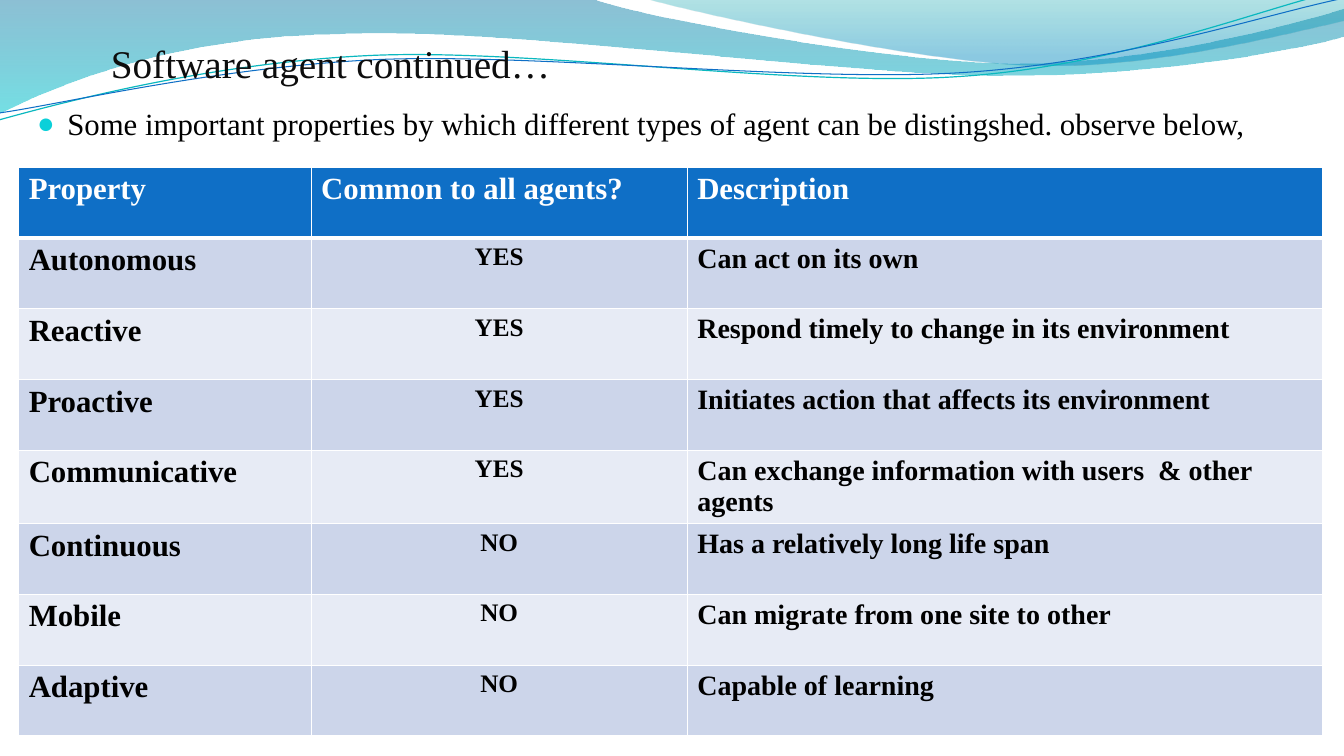
import math

from lxml import etree
from pptx import Presentation
from pptx.dml.color import RGBColor
from pptx.enum.text import MSO_ANCHOR, PP_ALIGN
from pptx.oxml import parse_xml
from pptx.oxml.ns import nsdecls, qn
from pptx.util import Inches, Pt

BOTTOM, TOP = MSO_ANCHOR.BOTTOM, MSO_ANCHOR.TOP
LEFT, CENTER = PP_ALIGN.LEFT, PP_ALIGN.CENTER
FONT = "Times New Roman"
COLS, ROWS = 1333, 750
UNIT = Inches(13.33) / COLS
TILT = 357.3
C = {"blue": "0F6FC6", "teal": "0AB8BF", "bullet": "0BD0D9", "title": "0D0D0D",
     "text": "000000", "white": "FFFFFF", "band1": "CCD5EA", "band2": "E7EBF5",
     "deep": "0074A1", "cyan": "00C6CF", "sea": "00A1A9", "sky": "008BBF"}

BANDS = [
    ([(0, 0), (587, -1),
      (634, 17, 885, 63, 1011, 63), (1138, 63, 1278, 26, 1333, 9), (1335, 36),
      (1311, 44, 1160, 76, 994, 75), (829, 75, 509, 28, 343, 34),
      (172, 36, 61, 83, -1, 113)],
     [(0, "deep", 45), (100, "cyan", 55)]),
    ([(639, -1), (679, 11, 909, 62, 1025, 65), (1141, 69, 1282, 32, 1333, 21),
      (1333, 0)],
     [(0, "sea", 30), (80, "sky", 45)]),
]
STRANDS = [
    ([(-1, 119), (64, 101, 211, 62, 369, 55), (527, 48, 790, 87, 950, 76),
      (1110, 66, 1252, 8, 1331, -10)], (665, 57.5), "teal", 0.85),
    ([(0, 112), (63, 103, 218, 66, 378, 59), (537, 53, 796, 82, 955, 72),
      (1115, 62, 1255, 14, 1334, -2)], (667, 59), "blue", 0.75),
]
HEADER = ("Property", "Common to all agents?", "Description")
PROPERTIES = [
    ("Autonomous", "YES", "Can act on its own"),
    ("Reactive", "YES", "Respond timely to change in its environment"),
    ("Proactive", "YES", "Initiates action that affects its environment"),
    ("Communicative", "YES", "Can exchange information with users  & other  agents"),
    ("Continuous", "NO", "Has a relatively long life span"),
    ("Mobile", "NO", "Can migrate from one site to other"),
    ("Adaptive", "NO", "Capable of learning"),
]


def units(*values):
    """Turn grid units into whole EMU."""
    return [round(v * UNIT) for v in values]


def rgb(name):
    """Look up a palette colour."""
    return RGBColor.from_string(C[name])


def turn(point, pivot, degrees):
    """Rotate a point clockwise about a pivot."""
    a = math.radians(degrees)
    dx, dy = point[0] - pivot[0], point[1] - pivot[1]
    return (pivot[0] + dx * math.cos(a) - dy * math.sin(a),
            pivot[1] + dx * math.sin(a) + dy * math.cos(a))


def add_outline(s, box, path, close, pivot=(0, 0), rotation=0):
    """Draw a path of lines and cubic curves relative to the box corner."""
    points = [units(box[0] + x, box[1] + y) for x, y in
              (turn(part[k:k + 2], pivot, -rotation)
               for part in path for k in range(0, len(part), 2))]
    builder = s.shapes.build_freeform(*points[0], scale=1.0)
    builder.add_line_segments(points[1:], close=close)
    sp = builder.convert_to_shape()
    segments = iter(list(sp._element.iter(qn("a:lnTo"))))
    for part in path[1:]:
        group = [next(segments) for _ in range(len(part) // 2)]
        if len(group) == 3:
            curve = etree.Element(qn("a:cubicBezTo"))
            group[0].addprevious(curve)
            for line in group:
                curve.append(line[0])
                line.getparent().remove(line)
    sp.rotation = rotation
    sp.shadow.inherit = False
    return sp


def add_waves(s, box):
    """Draw the gradient bands and thin strands of the header."""
    for path, stops in BANDS:
        sp = add_outline(s, box, path, True)
        sp.line.fill.background()
        gs = "".join(f'<a:gs pos="{pos * 1000}"><a:srgbClr val="{C[name]}">'
                     f'<a:alpha val="{alpha * 1000}"/></a:srgbClr></a:gs>'
                     for pos, name, alpha in stops)
        sp._element.spPr.find(qn("a:custGeom")).addnext(parse_xml(
            f'<a:gradFill {nsdecls("a")}><a:gsLst>{gs}</a:gsLst>'
            '<a:lin ang="5400000" scaled="0"/></a:gradFill>'))
    for path, pivot, name, width in STRANDS:
        sp = add_outline(s, box, path, False, pivot, TILT)
        sp.fill.background()
        sp.line.color.rgb = rgb(name)
        sp.line.width = Pt(width)


def write(p, text, size, color, bold=False, align=LEFT):
    """Fill a paragraph with one formatted run."""
    p.alignment = align
    r = p.add_run()
    r.text = text
    for key, value in {"name": FONT, "size": Pt(size), "bold": bold}.items():
        setattr(r.font, key, value)
    r.font.color.rgb = rgb(color)


def add_text(s, box, text, size, color, anchor, insets):
    """Place a wrapped text box and return its paragraph."""
    tf = s.shapes.add_textbox(*units(*box)).text_frame
    margins = zip(("margin_left", "margin_top", "margin_right", "margin_bottom"),
                  units(*insets))
    for key, value in {"word_wrap": True, "vertical_anchor": anchor, **dict(margins)}.items():
        setattr(tf, key, value)
    write(tf.paragraphs[0], text, size, color)
    return tf.paragraphs[0]


def add_bullet(p, indent):
    """Give a paragraph a round hanging bullet."""
    pPr = p._p.get_or_add_pPr()
    pPr.set("marL", str(indent))
    pPr.set("indent", str(-indent))
    color = etree.SubElement(pPr, qn("a:buClr"))
    etree.SubElement(color, qn("a:srgbClr"), val=C["bullet"])
    etree.SubElement(pPr, qn("a:buSzPct"), val="95000")
    etree.SubElement(pPr, qn("a:buFont"), typeface=FONT)
    etree.SubElement(pPr, qn("a:buChar"), char="●")


def set_borders(cell, widths):
    """Draw white cell borders of the given widths in points."""
    tcPr = cell._tc.get_or_add_tcPr()
    for i, (side, width) in enumerate(widths.items()):
        tcPr.insert(i, parse_xml(
            f'<a:ln{side} {nsdecls("a")} w="{Pt(width)}"><a:solidFill>'
            f'<a:srgbClr val="{C["white"]}"/></a:solidFill></a:ln{side}>'))


def add_property_table(s, box):
    """Place the banded table of agent properties."""
    rows = [HEADER, *PROPERTIES]
    table = s.shapes.add_table(len(rows), len(HEADER), *units(*box)).table
    for col, share in zip(table.columns, (290, 373, 630)):
        col.width = round(box[2] * UNIT * share / 1293)
    for i, row in enumerate(rows):
        fill = "blue" if i == 0 else "band1" if i % 2 else "band2"
        for j, text in enumerate(row):
            cell = table.cell(i, j)
            cell.margin_bottom = units(1)[0]
            cell.fill.solid()
            cell.fill.fore_color.rgb = rgb(fill)
            set_borders(cell, {"L": 1, "R": 1, "T": 3 if i == 1 else 1,
                               "B": 1 if i else 3})
            write(cell.text_frame.paragraphs[0], text, (22, 18, 20)[j] if i else 22,
                  "text" if i else "white", True, CENTER if i and j == 1 else LEFT)


def main():
    """Build the slide and save it."""
    prs = Presentation()
    prs.slide_width, prs.slide_height = units(COLS, ROWS)
    s = prs.slides.add_slide(prs.slide_layouts[6])
    add_waves(s, (0, 0, COLS, ROWS))
    add_text(s, (110, 19, 1157, 67), "Software agent continued…", 28, "title",
             BOTTOM, (0, 5, 0, 0))
    p = add_text(s, (27, 99, 1277, 626),
                 "Some important properties by which different types of agent "
                 "can be distingshed. observe below,", 22, "text", TOP, (10, 5, 10, 5))
    add_bullet(p, units(30)[0])
    add_property_table(s, (18.6, 166, 1293, 561.6))
    prs.save("out.pptx")


if __name__ == "__main__":
    main()
